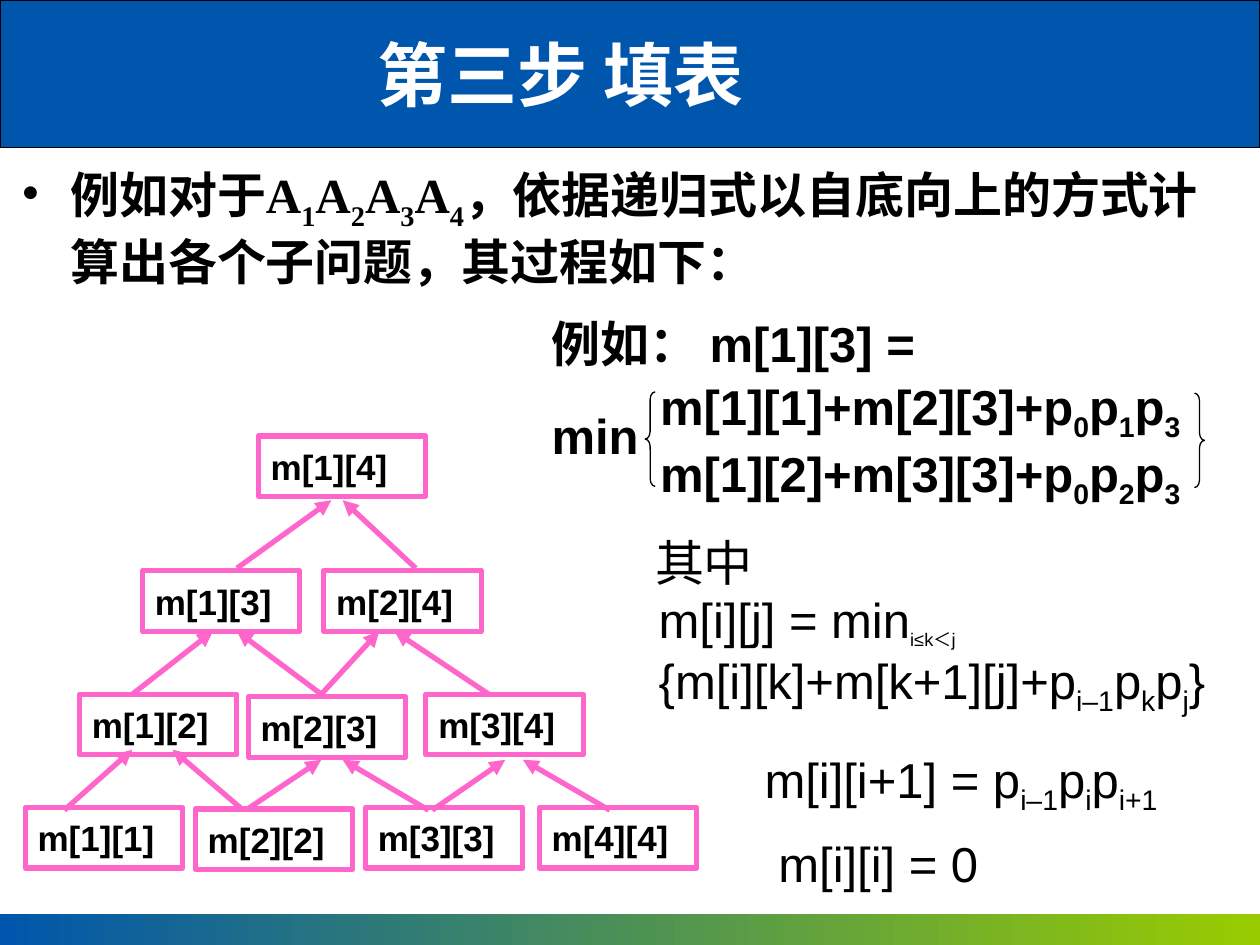
import pptx
import pptx.util
import pptx.dml.color
import pptx.enum.shapes
import pptx.enum.text
import pptx.oxml.ns
from lxml import etree
from pptx.util import Inches

LATIN, SERIF, CJK = "Arial", "Times New Roman", "Noto Sans CJK SC"
BLUE, GREEN, PINK, BLACK, WHITE = "0056AC", "99CC00", "FF66CC", "000000", "FFFFFF"
SHAPE = pptx.enum.shapes.MSO_SHAPE
ALIGN = pptx.enum.text.PP_ALIGN
ANCHOR = pptx.enum.text.MSO_ANCHOR

TITLE = "第三步 填表"
INTRO = [
    ("例如对于", LATIN),
    ("A~1~A~2~A~3~A~4~，", SERIF),
    ("依据递归式以自底向上的方式计算出各个子问题，其过程如下：", LATIN),
]
EXAMPLE = ["例如： m[1][3] =", "min"]
CHOICES = ["m[1][1]+m[2][3]+p~0~p~1~p~3~", "m[1][2]+m[3][3]+p~0~p~2~p~3~"]
FORMULAS = [
    ((5.1, 4.18, 0.98, 0.57), ["其中"]),
    ((6.08, 6.57, 1.85, 0.57), ["m[i][i] = 0"]),
    ((5.97, 5.9, 3.41, 0.57), ["m[i][i+1] = p~i–1~p~i~p~i+1~"]),
    ((5.13, 4.63, 4.8, 1.03),
     ["m[i][j] = min~i≤k＜j~", "{m[i][k]+m[k+1][j]+p~i–1~p~k~p~j~}"]),
]
NODE_WIDTH, ROOT_WIDTH, NODE_HEIGHT = 1.25, 1.33, 0.48
NODES = [
    [(0.2, 6.41), (1.55, 6.42), (2.9, 6.41), (4.28, 6.41)],
    [(0.63, 5.51), (1.97, 5.53), (3.38, 5.51)],
    [(1.13, 4.53), (2.57, 4.53)],
    [(2.05, 3.46)],
]
ARROWS = [
    (6.43, 5.95, [(0.51, 1.05), (1.93, 1.37)]),
    (6.43, 6.03, [(1.95, 2.55), (3.4, 2.72), (3.43, 4.01), (4.84, 4.15)]),
    (5.51, 5.01, [(1.05, 1.69), (2.55, 1.88), (2.55, 3.01), (3.88, 3.13)]),
    (4.51, 3.97, [(1.88, 2.63), (3.3, 2.72)]),
]
BRACES = [(SHAPE.LEFT_BRACE, 5.12, 3.11), (SHAPE.RIGHT_BRACE, 9.48, 3.12)]


def color(value):
    return pptx.dml.color.RGBColor.from_string(value)


def add_child(parent, tag, **attributes):
    return etree.SubElement(parent, pptx.oxml.ns.qn(tag), attributes)


def add_runs(paragraph, marked, size=28, font=LATIN, bold=False, ink=BLACK):
    for index, piece in enumerate(marked.split("~")):
        if not piece:
            continue
        run = paragraph.add_run()
        run.text = piece
        run.font.size = pptx.util.Pt(18 if "≤" in piece else size)
        run.font.bold = bold
        run.font.name = font
        run.font.color.rgb = color(ink)
        properties = run._r.get_or_add_rPr()
        add_child(properties, "a:ea", typeface=CJK)
        if index % 2:
            properties.set("baseline", "-25000")


def write_lines(frame, lines, **style):
    for index, line in enumerate(lines):
        paragraph = frame.paragraphs[0] if index == 0 else frame.add_paragraph()
        paragraph.alignment = ALIGN.LEFT
        add_runs(paragraph, line, **style)


def add_text(shapes, box, wrap=True):
    frame = shapes.add_textbox(*map(Inches, box)).text_frame
    frame.word_wrap = wrap
    return frame


def add_outline(shapes, kind, box, fill=None, line=None, width=0.75):
    shape = shapes.add_shape(kind, *map(Inches, box))
    shape.shadow.inherit = False
    if fill:
        shape.fill.solid()
        shape.fill.fore_color.rgb = color(fill)
    else:
        shape.fill.background()
    if line:
        shape.line.color.rgb = color(line)
        shape.line.width = pptx.util.Pt(width)
    else:
        shape.line.fill.background()
    return shape


def add_arrow(shapes, start, end):
    arrow = shapes.add_connector(
        pptx.enum.shapes.MSO_CONNECTOR.STRAIGHT, *map(Inches, start + end))
    arrow.line.color.rgb = color(PINK)
    arrow.line.width = pptx.util.Pt(3)
    add_child(arrow.line._get_or_add_ln(), "a:tailEnd", type="triangle")
    add_child(arrow._element.spPr, "a:effectLst")


def add_bands(shapes):
    add_outline(shapes, SHAPE.RECTANGLE, (0, 0, 10, 1.17), BLUE, BLACK)
    footer = add_outline(shapes, SHAPE.RECTANGLE, (0, 7.25, 10, 0.25))
    footer.fill.gradient()
    footer.fill.gradient_angle = 0
    for stop, shade in zip(footer.fill.gradient_stops, (BLUE, GREEN)):
        stop.color.rgb = color(shade)


def add_intro(shapes):
    paragraph = add_text(shapes, (0.08, 1.26, 9.64, 1.08)).paragraphs[0]
    properties = paragraph._p.get_or_add_pPr()
    properties.set("marL", str(Inches(0.38)))
    properties.set("indent", str(-Inches(0.38)))
    add_child(properties, "a:buChar", char="•")
    for marked, font in INTRO:
        add_runs(paragraph, marked, font=font, bold=True)


def add_tree(shapes):
    for level, row in enumerate(NODES):
        for index, (left, top) in enumerate(row, start=1):
            width = ROOT_WIDTH if len(row) == 1 else NODE_WIDTH
            node = add_outline(shapes, SHAPE.RECTANGLE,
                               (left, top, width, NODE_HEIGHT), line=PINK, width=3)
            node.text_frame.vertical_anchor = ANCHOR.MIDDLE
            write_lines(node.text_frame, [f"m[{index}][{index + level}]"],
                        size=20, bold=True)
    for bottom, top, spans in ARROWS:
        for start, end in spans:
            add_arrow(shapes, (start, bottom), (end, top))


def add_example(shapes):
    panel = add_outline(shapes, SHAPE.RECTANGLE, (4.28, 2.44, 5.37, 1.78), WHITE)
    panel.text_frame.vertical_anchor = ANCHOR.TOP
    write_lines(panel.text_frame, EXAMPLE, bold=True)
    panel.text_frame.paragraphs[1].space_before = pptx.util.Pt(19)
    choices = add_text(shapes, (5.14, 2.94, 4.44, 1.04), wrap=False)
    write_lines(choices, CHOICES, bold=True)
    for kind, left, top in BRACES:
        brace = add_outline(shapes, kind, (left, top, 0.08, 0.75), line=BLACK)
        brace.adjustments[0] = 0.75


def main():
    deck = pptx.Presentation()
    deck.slide_width, deck.slide_height = Inches(10), Inches(7.5)
    shapes = deck.slides.add_slide(deck.slide_layouts[6]).shapes
    add_bands(shapes)
    add_intro(shapes)
    add_tree(shapes.add_group_shape().shapes)
    for box, lines in FORMULAS:
        write_lines(add_text(shapes, box, wrap=False), lines)
    add_example(shapes.add_group_shape().shapes)
    heading = add_text(shapes, (2.66, 0.2, 3.58, 0.77)).paragraphs[0]
    heading.alignment = ALIGN.CENTER
    add_runs(heading, TITLE, size=40, font=CJK, bold=True, ink=WHITE)
    deck.save("out.pptx")


if __name__ == "__main__":
    main()
